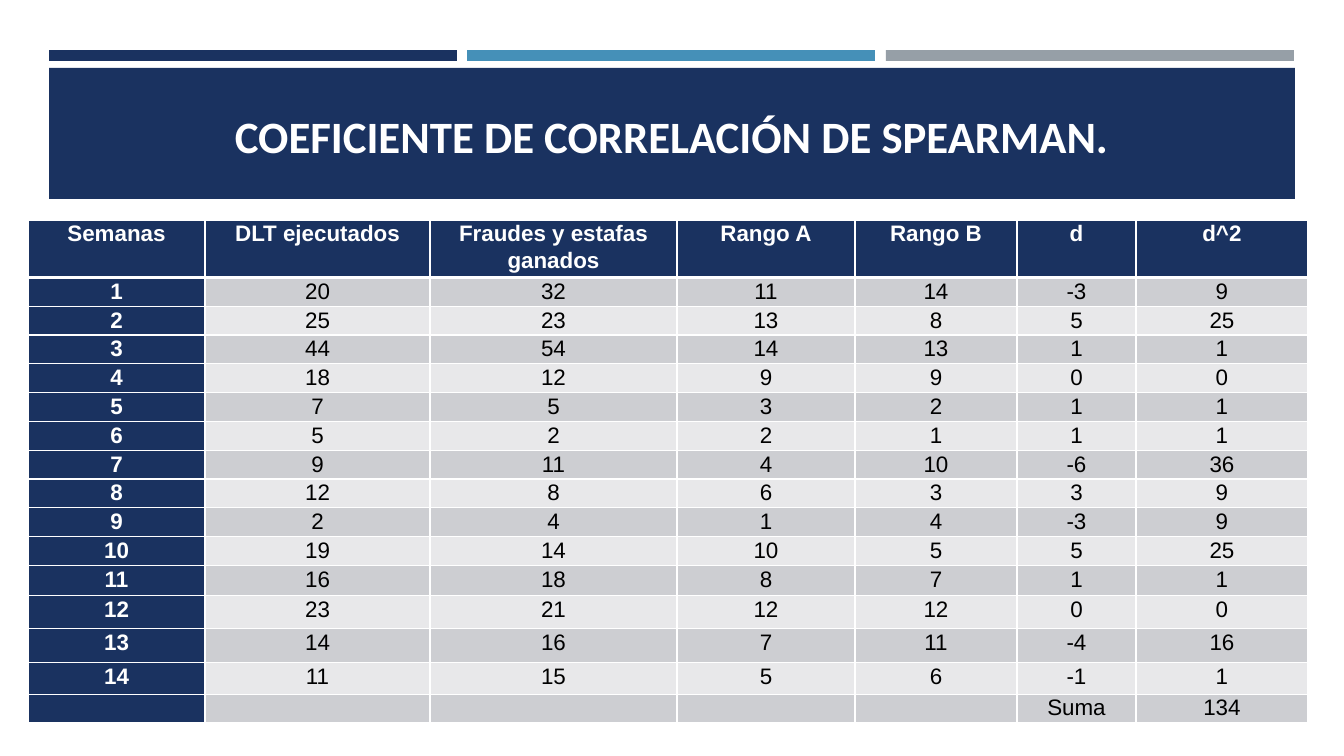
from dataclasses import dataclass
from lxml.etree import SubElement
from pptx import Presentation
from pptx.dml.color import RGBColor
from pptx.enum.shapes import MSO_SHAPE
from pptx.enum.text import MSO_ANCHOR, PP_ALIGN
from pptx.oxml.ns import qn
from pptx.util import Pt


@dataclass(frozen=True)
class Theme:
    navy: str = "1A3260"
    blue: str = "4590B8"
    gray: str = "969FA7"
    white: str = "FFFFFF"
    black: str = "000000"
    bands: tuple = ("E8E8EA", "CDCED2")
    title: int = 32
    body: int = 16
    head: str = "Calibri"
    text: str = "Arial"


def px(n):
    return round(n * 914400 / 100.8)


def apply(item, form):
    for name, value in form.items():
        setattr(item, name, value)


class Deck:
    def __init__(self, theme):
        self.theme = theme
        self.file = Presentation()
        apply(self.file, {"slide_width": px(1344), "slide_height": px(756)})
        self.slide = self.file.slides.add_slide(self.file.slide_layouts[6])

    def rect(self, x, y, w, h, color):
        shape = self.slide.shapes.add_shape(
            MSO_SHAPE.RECTANGLE, px(x), px(y), px(w), px(h))
        shape.shadow.inherit = False
        shape.fill.solid()
        shape.fill.fore_color.rgb = RGBColor.from_string(color)
        shape.line.fill.background()

    def label(self, para, text, size, face, color, bold):
        para.alignment = PP_ALIGN.CENTER
        if not text:
            SubElement(para._p, qn("a:endParaRPr"), sz=str(size * 100))
            return
        run = para.add_run()
        run.text = text
        apply(run.font, {"size": Pt(size), "name": face, "bold": bold})
        run.font.color.rgb = RGBColor.from_string(color)

    def title(self, x, y, w, h, text):
        frame = self.slide.shapes.add_textbox(
            px(x), px(y), px(w), px(h)).text_frame
        apply(frame, {"word_wrap": True, "vertical_anchor": MSO_ANCHOR.BOTTOM})
        look = self.theme
        self.label(frame.paragraphs[0], text, look.title, look.head,
                   look.white, True)

    def edge(self, cell, side, width):
        line = SubElement(cell._tc.get_or_add_tcPr(), qn("a:ln" + side),
                          w=str(Pt(width)))
        fill = SubElement(line, qn("a:solidFill"))
        SubElement(fill, qn("a:srgbClr"), val=self.theme.white)

    def cell(self, cell, text, row, col):
        look = self.theme
        key = row == 0 or col == 0
        apply(cell, {"margin_left": px(7), "margin_right": px(7),
                     "margin_top": 0, "margin_bottom": 0})
        for side in "LRTB":
            thick = (row, side) in ((0, "B"), (1, "T"))
            self.edge(cell, side, 3 if thick else 1)
        cell.fill.solid()
        cell.fill.fore_color.rgb = RGBColor.from_string(
            look.navy if key else look.bands[row % 2])
        para = cell.text_frame.paragraphs[0]
        apply(para, {"line_spacing": 1.07, "space_after": Pt(8)})
        self.label(para, text, look.body, look.text,
                   look.white if key else look.black, key)

    def table(self, x, y, h, cols, rows, data):
        frame = self.slide.shapes.add_table(
            len(rows), len(cols), px(x), px(y), px(sum(cols)), px(h))
        grid = frame.table
        grid.first_col = True
        for col, size in zip(grid.columns, cols):
            col.width = px(size)
        for row, size in zip(grid.rows, rows):
            row.height = px(size)
        frame.height = px(h)
        for r, line in enumerate(data):
            for c, value in enumerate(line):
                self.cell(grid.cell(r, c), str(value), r, c)


def main():
    theme = Theme()
    deck = Deck(theme)
    for i, color in enumerate((theme.navy, theme.blue, theme.gray)):
        deck.rect(49 + i * 837 // 2, 50, 408, 11, color)
    deck.rect(49, 68, 1246, 131, theme.navy)
    deck.title(64, 78, 1216, 89, "COEFICIENTE DE CORRELACIÓN DE SPEARMAN.")

    weeks = [
        (20, 32, 11, 14), (25, 23, 13, 8), (44, 54, 14, 13), (18, 12, 9, 9),
        (7, 5, 3, 2), (5, 2, 2, 1), (9, 11, 4, 10), (12, 8, 6, 3),
        (2, 4, 1, 4), (19, 14, 10, 5), (16, 18, 8, 7), (23, 21, 12, 12),
        (14, 16, 7, 11), (11, 15, 5, 6),
    ]
    data = [("Semanas", "DLT ejecutados", "Fraudes y estafas ganados",
             "Rango A", "Rango B", "d", "d^2")]
    for week, (runs, frauds, a, b) in enumerate(weeks, 1):
        data.append((week, runs, frauds, a, b, a - b, (a - b) ** 2))
    total = sum(line[-1] for line in data[1:])
    data.append(("", "", "", "", "", "Suma", total))
    deck.table(28, 220, 481, (177, 225, 247, 178, 162, 119, 172),
               [31] + [25] * 9 + [22, 30, 33, 34, 32, 26], data)
    deck.file.save("out.pptx")


if __name__ == "__main__":
    main()
